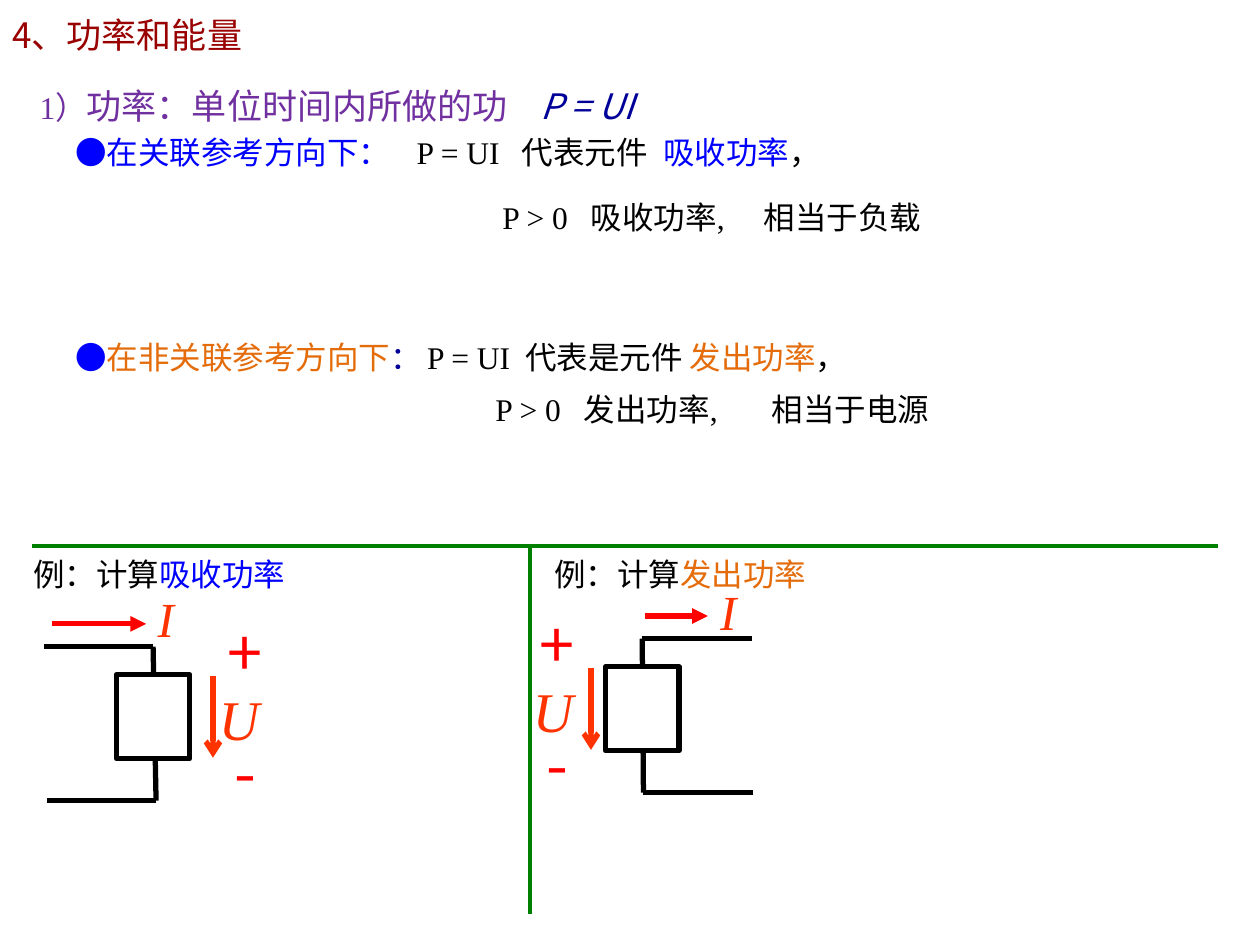
from dataclasses import dataclass

from lxml import etree
from pptx import Presentation
from pptx.dml.color import RGBColor
from pptx.enum.shapes import MSO_CONNECTOR, MSO_SHAPE
from pptx.enum.text import MSO_ANCHOR, PP_ALIGN
from pptx.oxml.ns import qn
from pptx.util import Pt

STRAIGHT = MSO_CONNECTOR.STRAIGHT
RECTANGLE = MSO_SHAPE.RECTANGLE
MIDDLE, TOP = MSO_ANCHOR.MIDDLE, MSO_ANCHOR.TOP
LEFT, CENTER = PP_ALIGN.LEFT, PP_ALIGN.CENTER


@dataclass(frozen=True)
class Theme:
    sans: str = "Noto Sans CJK SC"
    serif: str = "Times New Roman"
    title: str = "990000"
    heading: str = "7030A0"
    formula: str = "000099"
    absorb: str = "0000FF"
    supply: str = "E46C0A"
    ink: str = "000000"
    paper: str = "FFFFFF"
    divider: str = "008000"
    current: str = "FF0000"
    symbol: str = "FF3300"
    title_size: int = 20
    body_size: int = 18
    current_size: int = 28
    voltage_size: int = 32
    sign_size: int = 36
    divider_width: float = 2.25
    wire_width: float = 3


THEME = Theme()


@dataclass(frozen=True)
class Circuit:
    core: float           # x of the wire through the element
    top: float            # y of the upper wire
    side: int             # -1: terminals on the left, 1: on the right
    slant: float          # drift of the core wire towards its foot
    current_start: float
    current_end: float
    current_label: float
    voltage: float
    voltage_label: float
    polarity: float


CIRCUITS = (
    Circuit(87.5, 369.5, -1, 1.7, 29.5, 83.5, 83, 121.7, 118, 114),
    Circuit(367, 365, 1, 0.7, 368.5, 404.5, 404.5, 337.7, 297.4, 292.3),
)


def style_font(font, size=None, name=None, color=None, italic=None):
    if size:
        font.size = Pt(size)
    if name:
        font.name = name
    if color:
        font.color.rgb = RGBColor.from_string(color)
    if italic:
        font.italic = True


def add_tab_stops(paragraph, stops):
    tab_list = etree.SubElement(paragraph._p.get_or_add_pPr(), qn("a:tabLst"))
    for stop in stops:
        etree.SubElement(tab_list, qn("a:tab"), pos=str(Pt(stop)), algn="l")


def add_text(slide, box, runs, size=THEME.body_size, name=THEME.serif,
             spacing=0.8, tabs=(), anchor=TOP, italic=False, wrap=True):
    """Add one line of text; runs are (text, color, font overrides)."""
    frame = slide.shapes.add_textbox(*map(Pt, box)).text_frame
    frame.word_wrap = wrap
    frame.vertical_anchor = anchor
    line = frame.paragraphs[0]
    line.line_spacing = spacing
    if tabs:
        add_tab_stops(line, tabs)
    style_font(line.font, size, name, italic=italic)
    for text, color, *overrides in runs:
        run = line.add_run()
        run.text = text
        style_font(run.font, color=color, **(overrides[0] if overrides else {}))


def add_line(slide, start, end, color, width=THEME.wire_width, head=None):
    line = slide.shapes.add_connector(STRAIGHT, *map(Pt, (*start, *end)))
    line.line.color.rgb = RGBColor.from_string(color)
    line.line.width = Pt(width)
    if head:
        etree.SubElement(line.line._get_or_add_ln(), qn("a:tailEnd"), type=head)
    etree.SubElement(line._element.spPr, qn("a:effectLst"))


def add_element(slide, box):
    element = slide.shapes.add_shape(RECTANGLE, *map(Pt, box))
    element.shadow.inherit = False
    element.fill.solid()
    element.fill.fore_color.rgb = RGBColor.from_string(THEME.paper)
    element.line.color.rgb = RGBColor.from_string(THEME.ink)
    element.line.width = Pt(THEME.wire_width)


def add_polarity(slide, left, top):
    frame = slide.shapes.add_textbox(*map(Pt, (left, top, 52, 121))).text_frame
    frame.word_wrap = True
    plus = frame.paragraphs[0]
    minus = frame.add_paragraph()
    minus.space_before = Pt(34)
    for sign, text in ((plus, "+"), (minus, "-")):
        sign.text = text
        sign.alignment = CENTER
        sign.line_spacing = 0.8
        style_font(sign.font, THEME.sign_size, THEME.sans, THEME.current)


def add_circuit(slide, circuit):
    core, top = circuit.core, circuit.top
    foot, bottom = core + circuit.slant, top + 88
    reach = 62.5 * circuit.side

    # Wires and element
    add_line(slide, (core, top), (foot, bottom), THEME.ink)
    add_element(slide, (core - 21, top + 16, 42, 48))
    for x, y in ((core, top), (foot, bottom)):
        add_line(slide, (x, y), (x + reach, y), THEME.ink)

    # Current and voltage directions
    add_line(slide, (circuit.current_start, top - 13),
             (circuit.current_end, top - 13), THEME.current, head="triangle")
    add_line(slide, (circuit.voltage, top + 17), (circuit.voltage, top + 63.5),
             THEME.symbol, head="arrow")
    add_text(slide, (circuit.current_label, top - 36.5, 19, 41),
             [("I", THEME.symbol)], THEME.current_size, spacing=1,
             italic=True, wrap=False)
    add_text(slide, (circuit.voltage_label, top + 18, 37.5, 45.5),
             [("U", THEME.symbol)], THEME.voltage_size, spacing=1,
             italic=True, wrap=False)
    add_polarity(slide, circuit.polarity, top - 14)


def main():
    deck = Presentation()
    deck.slide_width, deck.slide_height = Pt(720), Pt(540)
    slide = deck.slides.add_slide(deck.slide_layouts[6])

    # Title and definition
    add_text(slide, (0, 0, 216, 42), [("4、功率和能量", THEME.title)],
             THEME.title_size, THEME.sans, 0.9, anchor=MIDDLE)
    add_text(slide, (15.5, 49.7, 553, 26.6),
             [("1）", THEME.heading, {"size": THEME.body_size}),
              ("功率：单位时间内所做的功\t", THEME.heading),
              ("P = UI", THEME.formula, {"name": THEME.sans, "italic": True})],
             THEME.title_size, tabs=(286.5,))

    # Associated reference direction
    add_text(slide, (36, 75, 282, 26.6),
             [("●在关联参考方向下：", THEME.absorb)], spacing=0.9)
    add_text(slide, (231, 75, 354, 26.6),
             [("P = UI\t代表元件\t", THEME.ink), ("吸收功率", THEME.absorb),
              ("，", THEME.ink)], spacing=0.9, tabs=(60, 141))
    add_text(slide, (280, 113.8, 402, 25),
             [("P > 0\t吸收功率,\t相当于负载", THEME.ink)], tabs=(50.5, 149.5))

    # Non-associated reference direction
    add_text(slide, (36, 193.7, 282, 25),
             [("●", THEME.absorb), ("在非关联参考方向下", THEME.supply),
              ("：", THEME.formula)])
    add_text(slide, (237, 193.7, 360, 25),
             [("P = UI\t代表是元件 ", THEME.ink), ("发出功率", THEME.supply),
              ("，", THEME.ink)], tabs=(56,))
    add_text(slide, (276, 221.8, 420, 26.6),
             [("P > 0\t发出功率,\t相当于电源", THEME.ink)],
             spacing=0.9, tabs=(50.5, 158))

    # Example panels
    for start, end in (((18, 312), (696, 312)), ((303, 312), (303, 522))):
        add_line(slide, start, end, THEME.divider, THEME.divider_width)
    for left, power, color in ((12, "吸收功率", THEME.absorb),
                               (309.6, "发出功率", THEME.supply)):
        add_text(slide, (left, 318, 234, 25),
                 [("例：计算", THEME.ink, {"name": THEME.sans}), (power, color)])
    for circuit in CIRCUITS:
        add_circuit(slide, circuit)

    deck.save("out.pptx")


if __name__ == "__main__":
    main()
